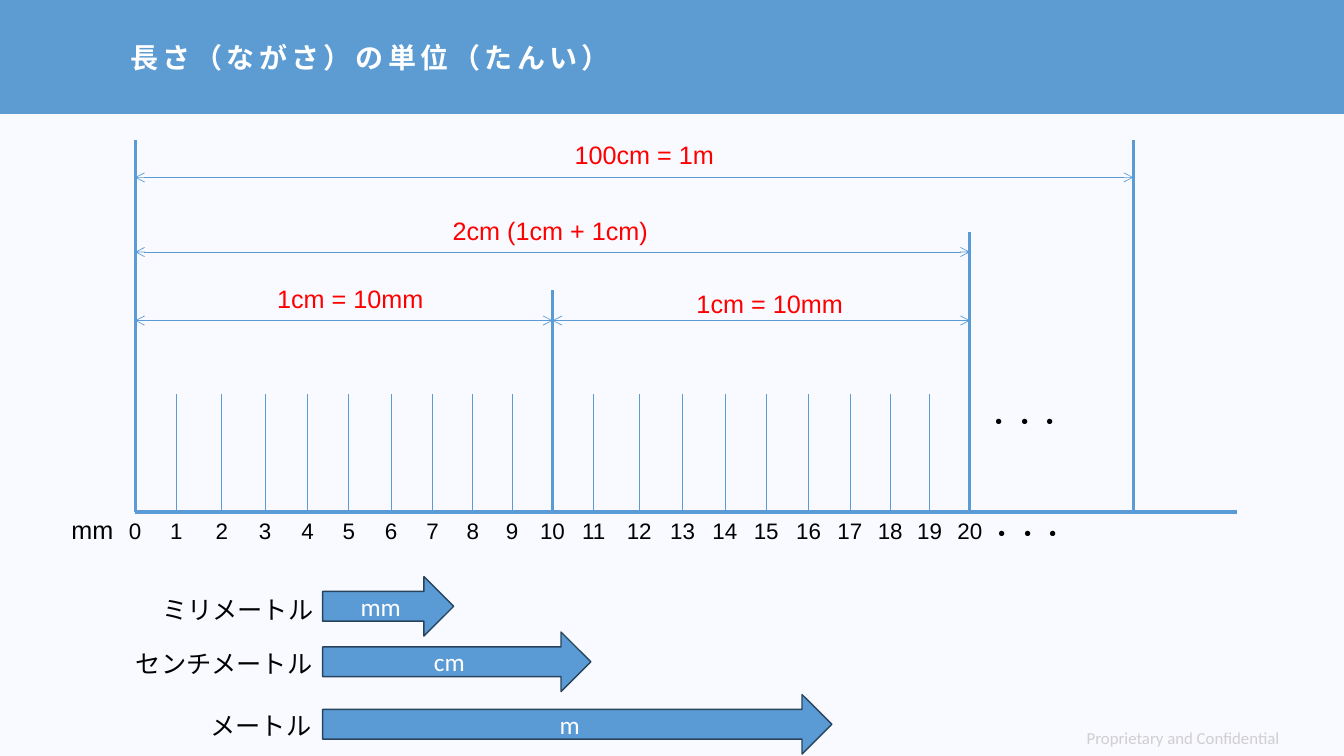
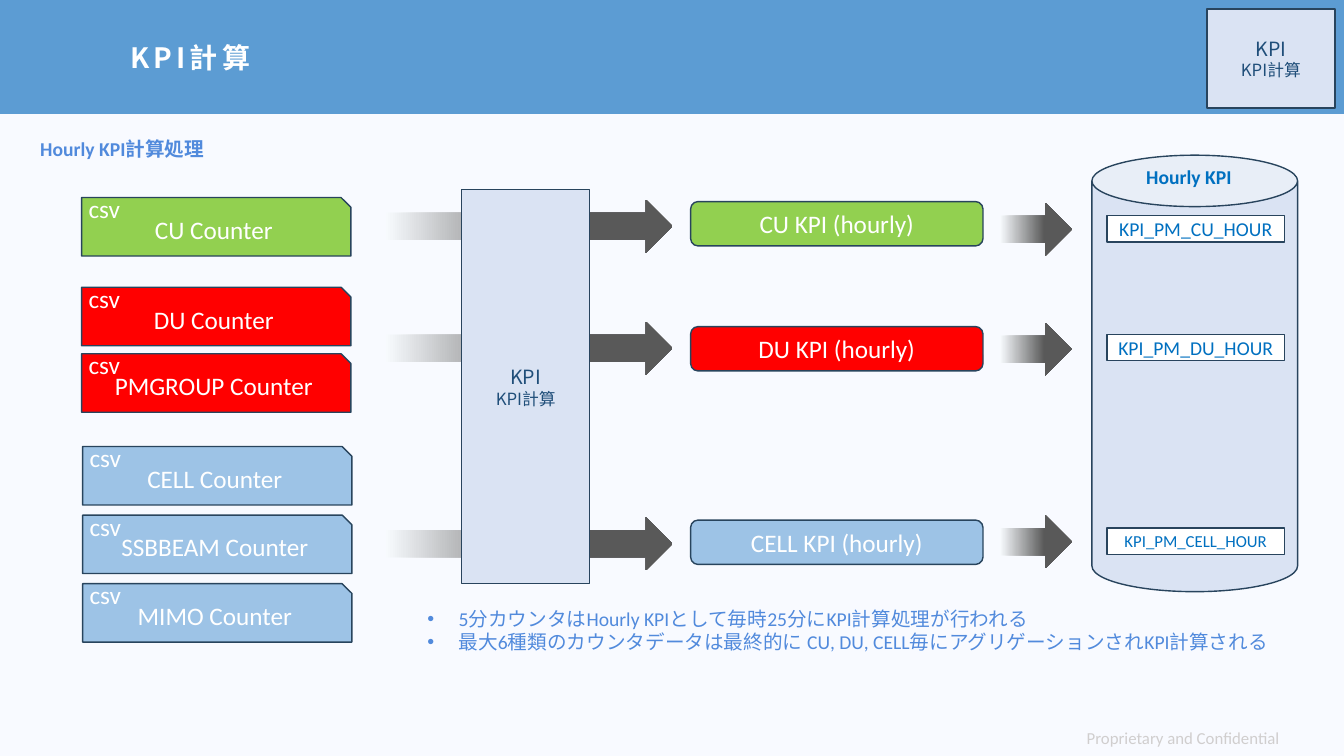
from pptx import Presentation
from pptx.dml.color import RGBColor
from pptx.enum.shapes import MSO_CONNECTOR, MSO_SHAPE
from pptx.enum.text import MSO_ANCHOR, PP_ALIGN
from pptx.oxml.ns import qn
from pptx.util import Inches, Pt
from lxml.etree import SubElement

PAPER = RGBColor(0xF8, 0xFA, 0xFF)
BAND = RGBColor(0x5C, 0x9C, 0xD3)
BLUE = RGBColor(0x5B, 0x9B, 0xD5)
OUTLINE = RGBColor(0x28, 0x44, 0x5D)
TEXT_BLUE = RGBColor(0x51, 0x8A, 0xDC)
TABLE_BLUE = RGBColor(0x00, 0x70, 0xC0)
NAVY = RGBColor(0x1F, 0x4E, 0x79)
PALE_BLUE = RGBColor(0xDA, 0xE3, 0xF3)
SKY = RGBColor(0x9D, 0xC3, 0xE6)
GREEN = RGBColor(0x92, 0xD0, 0x50)
RED = RGBColor(0xFF, 0x00, 0x00)
WHITE = RGBColor(0xFF, 0xFF, 0xFF)
BLACK = RGBColor(0x00, 0x00, 0x00)
FOOTER_GRAY = RGBColor(0xD0, 0xCE, 0xCE)
ARROW_START = RGBColor(0xF7, 0xFA, 0xFD)
ARROW_END = RGBColor(0x59, 0x59, 0x59)
JAPANESE = "Noto Sans CJK JP"


def write(para, text, size, color, font="Calibri", bold=False):
    """Add one run, with the Japanese font for its East Asian letters."""
    span = para.add_run()
    span.text = text
    span.font.size = Pt(size)
    span.font.bold = bold
    span.font.color.rgb = color
    span.font.name = font
    SubElement(span.font._element, qn("a:ea"), typeface=JAPANESE)
    return span


def add_box(page, at, kind=None, fill=None, line=OUTLINE):
    """Add a preset shape, or a text box when no kind is given."""
    place = [Inches(length) for length in at]
    if kind is None:
        box = page.shapes.add_textbox(*place)
    else:
        box = page.shapes.add_shape(kind, *place)
        box.shadow.inherit = False
        if fill is not None:
            box.fill.solid()
            box.fill.fore_color.rgb = fill
        if line is None:
            box.line.fill.background()
        else:
            box.line.color.rgb = line
            box.line.width = Pt(1)
        box.text_frame.margin_left = box.text_frame.margin_right = Inches(0.04)
        box.text_frame.vertical_anchor = MSO_ANCHOR.MIDDLE
        box.text_frame.paragraphs[0].alignment = PP_ALIGN.CENTER
    box.text_frame.word_wrap = True
    return box


deck = Presentation()
deck.slide_width = Inches(13.33)
deck.slide_height = Inches(7.5)

# Shared background, band, footer and title
layout = deck.slide_layouts[5]
layout.background.fill.solid()
layout.background.fill.fore_color.rgb = PAPER
for holder in list(layout.placeholders)[1:]:
    holder.element.getparent().remove(holder.element)

pages = []
for title_text in ("長さ（ながさ）の単位（たんい）", "KPI計算"):
    page = deck.slides.add_slide(layout)
    title = page.shapes.title
    title.left, title.top = Inches(1.19), Inches(0.18)
    title.width, title.height = Inches(11.8), Inches(0.82)
    title.text_frame.vertical_anchor = MSO_ANCHOR.MIDDLE
    para = title.text_frame.paragraphs[0]
    para.alignment = PP_ALIGN.LEFT
    para.line_spacing = 0.9
    span = write(para, title_text, 20, WHITE, JAPANESE, bold=True)
    span.font._element.set("spc", "300")
    pages.append(page)
ruler_page, kpi_page = pages

band = add_box(ruler_page, (0, 0, 13.33, 1.13), MSO_SHAPE.RECTANGLE, BAND, None)
footer = add_box(ruler_page, (10.68, 7.17, 2.5, 0.3))
write(footer.text_frame.paragraphs[0], "Proprietary and Confidential", 12, FOOTER_GRAY)
for part in (band, footer):
    layout.shapes.element.append(part.element)

# Slide 1: ruler
ZERO, CENTIMETRE, BASE = 1.34, 4.14, 5.08
TEN, TWENTY, METRE = ZERO + CENTIMETRE, ZERO + 2 * CENTIMETRE, 11.24
THICK, THIN = 2.25, 0.5
tick_offsets = (0, 0.41, 0.86, 1.29, 1.71, 2.12, 2.54, 2.95, 3.35, 3.74)
tall_ticks = {0: 1.39, 10: 2.88, 20: 2.3}

# start x, start y, end x, end y, width in points, arrowheads
lines = [
    (ZERO, BASE, 12.27, BASE, THICK, False),
    (METRE, 1.39, METRE, BASE, THICK, False),
    (ZERO, 3.18, TEN, 3.18, THIN, True),
    (TEN, 3.18, TWENTY, 3.18, THIN, True),
    (ZERO, 2.5, TWENTY, 2.5, THIN, True),
    (ZERO, 1.76, METRE, 1.76, THIN, True),
]
for number in range(21):
    centimetres, millimetres = divmod(number, 10)
    x = ZERO + centimetres * CENTIMETRE + tick_offsets[millimetres]
    width = THICK if number in tall_ticks else THIN
    lines.append((x, tall_ticks.get(number, 3.91), x, BASE, width, False))
    label = add_box(ruler_page, (x - 0.3, BASE, 0.6, 0.37))
    para = label.text_frame.paragraphs[0]
    para.alignment = PP_ALIGN.CENTER
    write(para, str(number), 16, BLACK, "Arial")

for *ends, width, has_heads in lines:
    line = ruler_page.shapes.add_connector(
        MSO_CONNECTOR.STRAIGHT, *[Inches(end) for end in ends])
    line.line.color.rgb = BLUE
    line.line.width = Pt(width)
    if has_heads:
        for tag in ("a:headEnd", "a:tailEnd"):
            SubElement(line.line._get_or_add_ln(), qn(tag), type="arrow")
    SubElement(line.element.spPr, qn("a:effectLst"))

for left, top, width, text, color in (
    (2.65, 2.76, 1.96, "1cm = 10mm", RED),
    (6.81, 2.81, 1.96, "1cm = 10mm", RED),
    (4.39, 2.09, 2.42, "2cm (1cm + 1cm)", RED),
    (5.6, 1.33, 1.64, "100cm = 1m", RED),
    (0.61, 5.05, 0.72, "mm", BLACK),
    (9.72, 5.09, 2.05, "・・・", BLACK),
    (9.69, 3.98, 2.05, "・・・", BLACK),
    (1.51, 5.85, 1.7, "ミリメートル", BLACK),
    (1.25, 6.38, 2.23, "センチメートル", BLACK),
    (1.99, 7, 2.23, "メートル", BLACK),
):
    label = add_box(ruler_page, (left, top, width, 0.4))
    write(label.text_frame.paragraphs[0], text, 18, color, "Arial")

for top, width, unit in ((5.72, 1.3, "mm"), (6.27, 2.66, "cm"), (6.89, 5.05, "m")):
    arrow = add_box(ruler_page, (3.2, top, width, 0.59), MSO_SHAPE.RIGHT_ARROW, BLUE)
    write(arrow.text_frame.paragraphs[0], unit, 18, WHITE)

# Slide 2: KPI calculation
heading = add_box(kpi_page, (0.3, 1.31, 4.59, 0.34))
write(heading.text_frame.paragraphs[0], "Hourly KPI計算処理", 14, TEXT_BLUE, bold=True)

for left, top, name, color in (
    (0.81, 1.96, "CU", GREEN),
    (0.81, 2.85, "DU", RED),
    (0.81, 3.51, "PMGROUP", RED),
    (0.82, 4.43, "CELL", SKY),
    (0.82, 5.11, "SSBBEAM", SKY),
    (0.82, 5.79, "MIMO", SKY),
):
    counter = add_box(kpi_page, (left, top, 2.67, 0.58),
                      MSO_SHAPE.SNIP_1_RECTANGLE, color)
    write(counter.text_frame.paragraphs[0], f"{name} Counter", 18, WHITE)
    tag = add_box(kpi_page, (left - 0.03, top - 0.09, 0.78, 0.4))
    write(tag.text_frame.paragraphs[0], "csv", 18, WHITE)

add_box(kpi_page, (10.83, 1.54, 2.04, 4.33), MSO_SHAPE.CAN, PALE_BLUE)
store_name = add_box(kpi_page, (11.27, 1.59, 1.4, 0.34))
write(store_name.text_frame.paragraphs[0], "Hourly KPI", 14, TABLE_BLUE, bold=True)

for name, color, input_top, result_top, output_top, table_top, table_size in (
    ("CU", GREEN, 1.98, 2, 2.01, 2.14, 14),
    ("DU", RED, 3.19, 3.24, 3.2, 3.32, 14),
    ("CELL", SKY, 5.13, 5.16, 5.11, 5.24, 12),
):
    for left, top, width in ((3.83, input_top, 2.84), (9.92, output_top, 0.71)):
        arrow = add_box(kpi_page, (left, top, width, 0.53),
                        MSO_SHAPE.RIGHT_ARROW, line=None)
        arrow.fill.gradient()
        arrow.fill.gradient_angle = 0
        start, end = arrow.fill.gradient_stops
        start.color.rgb, start.position = ARROW_START, 0
        end.color.rgb, end.position = ARROW_END, 0.62
    result = add_box(kpi_page, (6.85, result_top, 2.9, 0.44),
                     MSO_SHAPE.ROUNDED_RECTANGLE, color)
    write(result.text_frame.paragraphs[0], f"{name} KPI (hourly)", 18, WHITE)
    table_name = add_box(kpi_page, (10.98, table_top, 1.76, 0.26),
                         MSO_SHAPE.RECTANGLE, WHITE)
    write(table_name.text_frame.paragraphs[0], f"KPI_PM_{name}_HOUR",
          table_size, TABLE_BLUE)

for at in ((4.58, 1.88, 1.27, 3.91), (11.97, 0.09, 1.27, 0.98)):
    process = add_box(kpi_page, at, MSO_SHAPE.RECTANGLE, PALE_BLUE)
    write(process.text_frame.paragraphs[0], "KPI", 14, NAVY, JAPANESE)
    para = process.text_frame.add_paragraph()
    para.alignment = PP_ALIGN.CENTER
    write(para, "KPI計算", 12, NAVY, JAPANESE)

notes = add_box(kpi_page, (4.14, 5.97, 8.78, 0.57))
for index, text in enumerate((
    "5分カウンタはHourly KPIとして毎時25分にKPI計算処理が行われる",
    "最大6種類のカウンタデータは最終的に CU, DU, CELL毎にアグリゲーションされKPI計算される",
)):
    para = notes.text_frame.add_paragraph() if index else notes.text_frame.paragraphs[0]
    properties = para._p.get_or_add_pPr()
    properties.set("marL", str(Inches(0.31)))
    properties.set("indent", str(Inches(-0.31)))
    SubElement(properties, qn("a:buFont"), typeface="Arial")
    SubElement(properties, qn("a:buChar"), char="•")
    write(para, text, 14, TEXT_BLUE)

deck.save("out.pptx")
